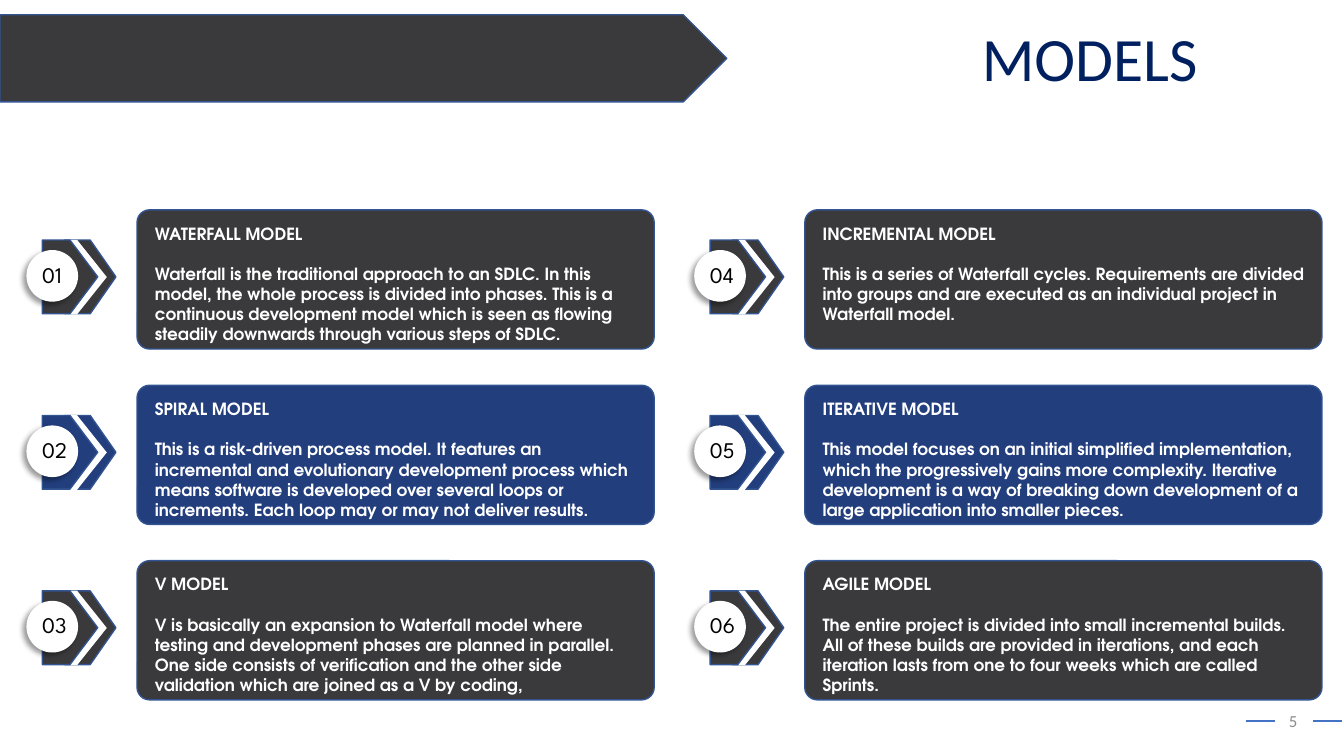
from dataclasses import dataclass
from lxml.etree import SubElement
from pptx import Presentation
from pptx.dml.color import RGBColor
from pptx.enum.shapes import MSO_CONNECTOR as Connector, MSO_SHAPE as Shape
from pptx.enum.text import MSO_ANCHOR as Anchor, MSO_AUTO_SIZE as AutoSize, PP_ALIGN as Align
from pptx.oxml.ns import qn
from pptx.util import Pt


@dataclass(frozen=True)
class Theme:
    charcoal: str = "3A3A3C"
    blue: str = "223E7D"
    outline: str = "325491"
    rule: str = "4472C4"
    title: str = "002060"
    muted: str = "8C8C8C"
    white: str = "FFFFFF"
    black: str = "000000"
    title_size: int = 44
    number_size: int = 16
    text_size: int = 12
    title_font: str = "Calibri"
    number_font: str = "League Spartan"
    text_font: str = "TeX Gyre Adventor"


theme = Theme()


def add_block(shapes, kind, left, top, width, height, fill, outlined=True):
    block = shapes.add_shape(kind, Pt(left), Pt(top), Pt(width), Pt(height))
    block.fill.solid()
    block.fill.fore_color.rgb = RGBColor.from_string(fill)
    if outlined:
        block.line.color.rgb = RGBColor.from_string(theme.outline)
        block.line.width = Pt(1)
    else:
        block.line.fill.background()
    block.shadow.inherit = False
    return block


def write_text(box, lines, font, size, color, bold=False, wrap=True, anchor=Anchor.TOP,
               align=Align.LEFT, gap=0):
    frame = box.text_frame
    frame_format = {"auto_size": AutoSize.NONE, "word_wrap": wrap, "vertical_anchor": anchor}
    for name, value in frame_format.items():
        setattr(frame, name, value)
    for index, line in enumerate(lines):
        para = frame.paragraphs[0] if index == 0 else frame.add_paragraph()
        para_format = {"alignment": align, "line_spacing": 1.0,
                       "space_before": Pt(gap if index else 0)}
        for name, value in para_format.items():
            setattr(para, name, value)
        span = para.add_run()
        span.text = line
        for name, value in {"name": font, "size": Pt(size), "bold": bold}.items():
            setattr(span.font, name, value)
        span.font.color.rgb = RGBColor.from_string(color)


deck = Presentation()
deck.slide_width, deck.slide_height = Pt(960), Pt(540)
page = deck.slides.add_slide(deck.slide_layouts[5])

add_block(page.shapes, Shape.PENTAGON, 0, 10.6, 519.2, 62.2, theme.charcoal)

title = page.shapes.title
title_place = {"left": 694.1, "top": 10.8, "width": 309.6, "height": 60.5}
for name, value in title_place.items():
    setattr(title, name, Pt(value))
write_text(title, ["MODELS"], theme.title_font, theme.title_size, theme.title)

for start, end in [(890, 910.6), (938.2, 958.5)]:
    rule = page.shapes.add_connector(Connector.STRAIGHT, Pt(start), Pt(514.8), Pt(end), Pt(514.8))
    rule.line.color.rgb = RGBColor.from_string(theme.rule)
    rule.line.width = Pt(1.25)
    SubElement(rule.element.spPr, qn("a:effectLst"))

models = [
    ("WATERFALL MODEL",
     "Waterfall is the traditional approach to an SDLC. In this model, the whole process is "
     "divided into phases. This is a continuous development model which is seen as flowing "
     "steadily downwards through various steps of SDLC."),
    ("SPIRAL MODEL",
     "This is a risk-driven process model. It features an incremental and evolutionary "
     "development process which means software is developed over several loops or increments. "
     "Each loop may or may not deliver results."),
    ("V MODEL",
     "V is basically an expansion to Waterfall model where testing and development phases are "
     "planned in parallel. One side consists of verification and the other side validation "
     "which are joined as a V by coding,"),
    ("INCREMENTAL MODEL",
     "This is a series of Waterfall cycles. Requirements are divided into groups and are "
     "executed as an individual project in Waterfall model."),
    ("ITERATIVE MODEL",
     "This model focuses on an initial simplified implementation, which the progressively gains "
     "more complexity. Iterative development is a way of breaking down development of a large "
     "application into smaller pieces."),
    ("AGILE MODEL",
     "The entire project is divided into small incremental builds. All of these builds are "
     "provided in iterations, and each iteration lasts from one to four weeks which are called "
     "Sprints."),
]
rows = 3

for index, (heading, description) in enumerate(models):
    column, row = divmod(index, rows)
    left, top = 477 * column, 149.9 + 125.3 * row
    color = theme.blue if row == 1 else theme.charcoal

    marker = page.shapes.add_group_shape().shapes
    add_block(marker, Shape.CHEVRON, left + 46.1, top + 21.6, 36.7, 52.6, color)
    add_block(marker, Shape.CHEVRON, left + 33.8, top + 21.4, 42.5, 53.3, theme.white, False)
    add_block(marker, Shape.PENTAGON, left + 30.2, top + 21.6, 39.6, 52.6, color)
    circle = add_block(marker, Shape.OVAL, left + 18.9, top + 28.7, 36.9, 36.9, theme.white, False)
    effects = circle.element.spPr.find(qn("a:effectLst"))
    shadow = SubElement(effects, qn("a:outerShdw"), blurRad=str(Pt(4)), dist=str(Pt(3)),
                        dir="8100000", algn="tr", rotWithShape="0")
    shade = SubElement(shadow, qn("a:srgbClr"), val=theme.black)
    SubElement(shade, qn("a:alpha"), val="40000")
    number = marker.add_textbox(Pt(left + 23), Pt(top + 32.8), Pt(32.4), Pt(26.6))
    write_text(number, [f"{index + 1:02}"], theme.number_font, theme.number_size, theme.black,
               wrap=False)

    card = add_block(page.shapes, Shape.ROUNDED_RECTANGLE, left + 97.9, top, 369.4, 99.4, color)
    card.adjustments[0] = 0.09
    copy = page.shapes.add_textbox(Pt(left + 103.5), Pt(top + 6.1), Pt(358.6), Pt(94.3))
    write_text(copy, [heading, description], theme.text_font, theme.text_size, theme.white,
               bold=True, gap=14.4)

page_number = page.shapes.add_textbox(Pt(905), Pt(500.4), Pt(37.4), Pt(28.8))
write_text(page_number, ["5"], theme.title_font, theme.text_size, theme.muted,
           anchor=Anchor.MIDDLE, align=Align.CENTER)

deck.save("out.pptx")
